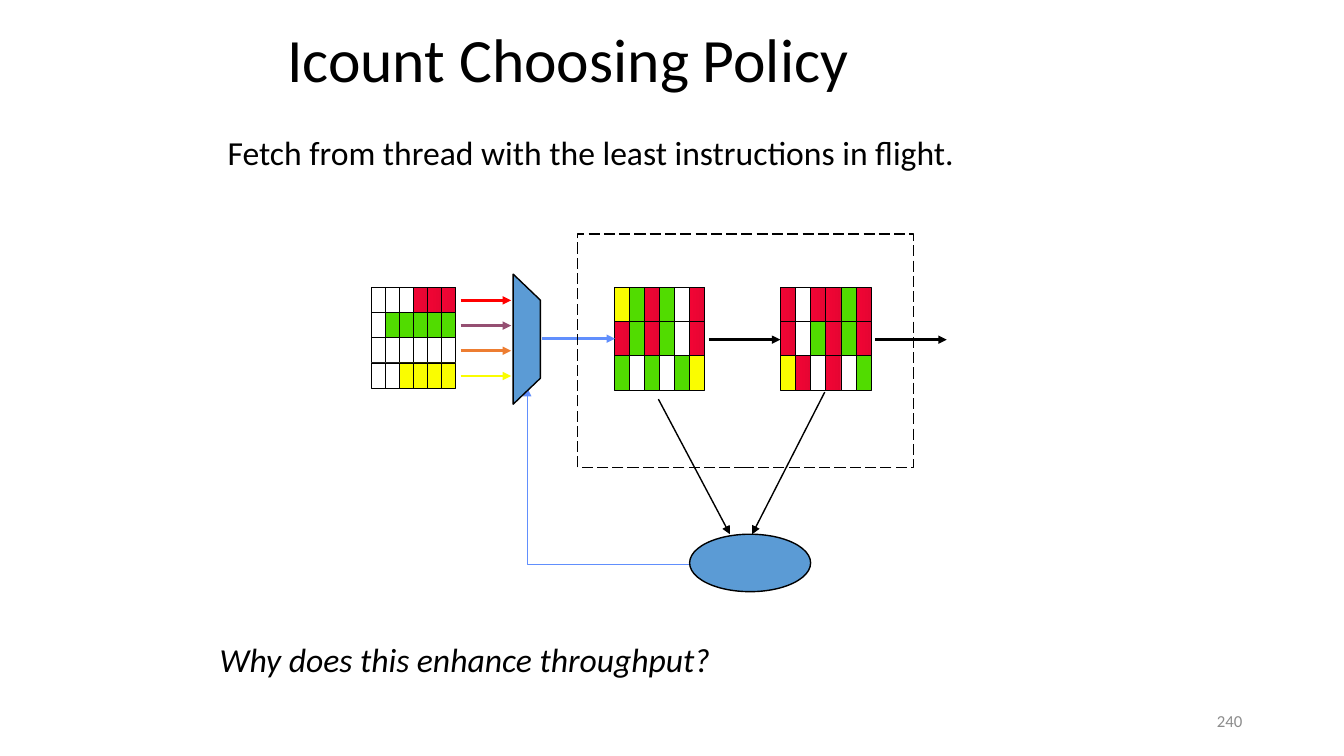
"""Draw the Icount thread choosing policy slide."""
from lxml import etree
from pptx import Presentation
from pptx import util as u
from pptx.dml import color
from pptx.enum import dml, shapes, text
from pptx.oxml import ns

HUES = {
    "black": "000000", "gray": "8C8C8C", "blue": "5B9BD5", "sky": "618FFD",
    "red": "FF0000", "plum": "954F72", "orange": "ED7D31",
    "W": "FFFFFF", "G": "51DC00", "Y": "FAFD00",
    "light": "F10534", "dark": "E60532",
}
QUEUE = ["WWWRRR", "WGGGGG", "WWWWWW", "WWYYYY"]
FETCH = ["YGRGWR", "RGRGWR", "GWGWGY"]
ISSUE = ["RWRRGR", "RWGRGR", "YRWRWG"]
KIND = shapes.MSO_SHAPE
LINK = shapes.MSO_CONNECTOR


def rgb(name):
    """Return the named colour."""
    return color.RGBColor.from_string(HUES[name])


def inch(*sizes):
    """Turn numbers into lengths."""
    return [u.Inches(size) for size in sizes]


def add_text(slide, box, words, size, hue="black", italic=False,
             align=text.PP_ALIGN.LEFT, anchor=text.MSO_ANCHOR.TOP, gap=0.9):
    """Add one line of text in a box."""
    frame = slide.shapes.add_textbox(*inch(*box)).text_frame
    frame.word_wrap = True
    frame.vertical_anchor = anchor
    para = frame.paragraphs[0]
    para.alignment, para.line_spacing = align, gap
    run = para.add_run()
    run.text = words
    form = {"name": "Calibri", "size": u.Pt(size), "italic": italic}
    for key, value in form.items():
        setattr(run.font, key, value)
    run.font.color.rgb = rgb(hue)


def add_part(slide, kind, box, fill=None, width=1, turn=0):
    """Add an outlined shape, filled when a colour is named."""
    part = slide.shapes.add_shape(kind, *inch(*box))
    part.shadow.inherit = False
    part.rotation = turn
    if fill == "R":
        part.fill.gradient()
        part.fill.gradient_angle = 0
        for stop, name in zip(part.fill.gradient_stops, ("light", "dark")):
            stop.color.rgb = rgb(name)
    elif fill:
        part.fill.solid()
        part.fill.fore_color.rgb = rgb(fill)
    else:
        part.fill.background()
    part.line.color.rgb = rgb("black")
    part.line.width = u.Pt(width)
    return part


def add_grid(slide, left, top, wide, high, rows):
    """Add rows of slots coloured by letter."""
    for row, slots in enumerate(rows):
        for col, fill in enumerate(slots):
            box = (left + col * wide, top + row * high, wide, high)
            add_part(slide, KIND.RECTANGLE, box, fill, 0.5)


def add_arrow(slide, ends, hue="black", width=2, kind=LINK.STRAIGHT):
    """Add a connector with a triangle at its far end."""
    arrow = slide.shapes.add_connector(kind, *inch(*ends))
    arrow.line.color.rgb = rgb(hue)
    arrow.line.width = u.Pt(width)
    etree.SubElement(arrow.line.get_or_change_to_solid_fill().getparent()
                     if hasattr(arrow.line, "get_or_change_to_solid_fill")
                     else arrow.get_or_add_ln(),
                     ns.qn("a:tailEnd"), type="triangle")
    etree.SubElement(arrow.element.spPr, ns.qn("a:effectLst"))
    return arrow


def add_loop(slide):
    """Add the feedback arrow from the counter up to the selector."""
    loop = add_arrow(slide, (5.23, 3.85, 7.5, 5.6), "sky", 1, LINK.ELBOW)
    props = loop.element.spPr
    props.find(ns.qn("a:xfrm")).set("rot", "10800000")
    props.find(ns.qn("a:prstGeom")).set("prst", "bentConnector2")


def main():
    """Build and save the slide."""
    deck = Presentation()
    deck.slide_width, deck.slide_height = inch(13.33, 7.5)
    slide = deck.slides.add_slide(deck.slide_layouts[6])
    mid = text.MSO_ANCHOR.MIDDLE
    add_text(slide, (2.75, 0, 7.83, 1.25), "Icount Choosing Policy", 44,
             anchor=mid)
    add_text(slide, (9.42, 6.95, 3, 0.4), "240", 12, "gray",
             align=text.PP_ALIGN.RIGHT, anchor=mid, gap=1)
    add_text(slide, (2.16, 1.3, 9.23, 0.8),
             "Fetch from thread with the least instructions in flight.", 24)
    add_text(slide, (2.08, 6.33, 9.29, 0.8),
             "Why does this enhance throughput?", 24, italic=True)

    add_grid(slide, 6.09, 2.85, 0.15, 0.34, FETCH)
    add_arrow(slide, (5.38, 3.36, 6.1, 3.36), "sky")
    add_grid(slide, 7.74, 2.85, 0.15, 0.34, ISSUE)
    for left, right in ((7.03, 7.74), (8.68, 9.39)):
        add_arrow(slide, (left, 3.37, right, 3.37))
    frame = add_part(slide, KIND.RECTANGLE, (5.73, 2.32, 3.33, 2.32))
    frame.line.dash_style = dml.MSO_LINE.LONG_DASH
    for ends in ((6.53, 3.96, 7.24, 5.3), (8.18, 3.89, 7.46, 5.3)):
        add_arrow(slide, ends, width=1)
    add_loop(slide)
    add_part(slide, KIND.FLOWCHART_MANUAL_OPERATION,
             (4.58, 3.23, 1.29, 0.27), "blue", turn=270)
    add_part(slide, KIND.OVAL, (6.84, 5.3, 1.2, 0.57), "blue")

    add_grid(slide, 3.68, 2.85, 0.14, 0.25, QUEUE)
    for row, hue in enumerate(("red", "plum", "orange", "Y")):
        top = 2.98 + row * 0.25
        add_arrow(slide, (4.57, top, 5.07, top), hue)
    deck.save("out.pptx")


if __name__ == "__main__":
    main()
